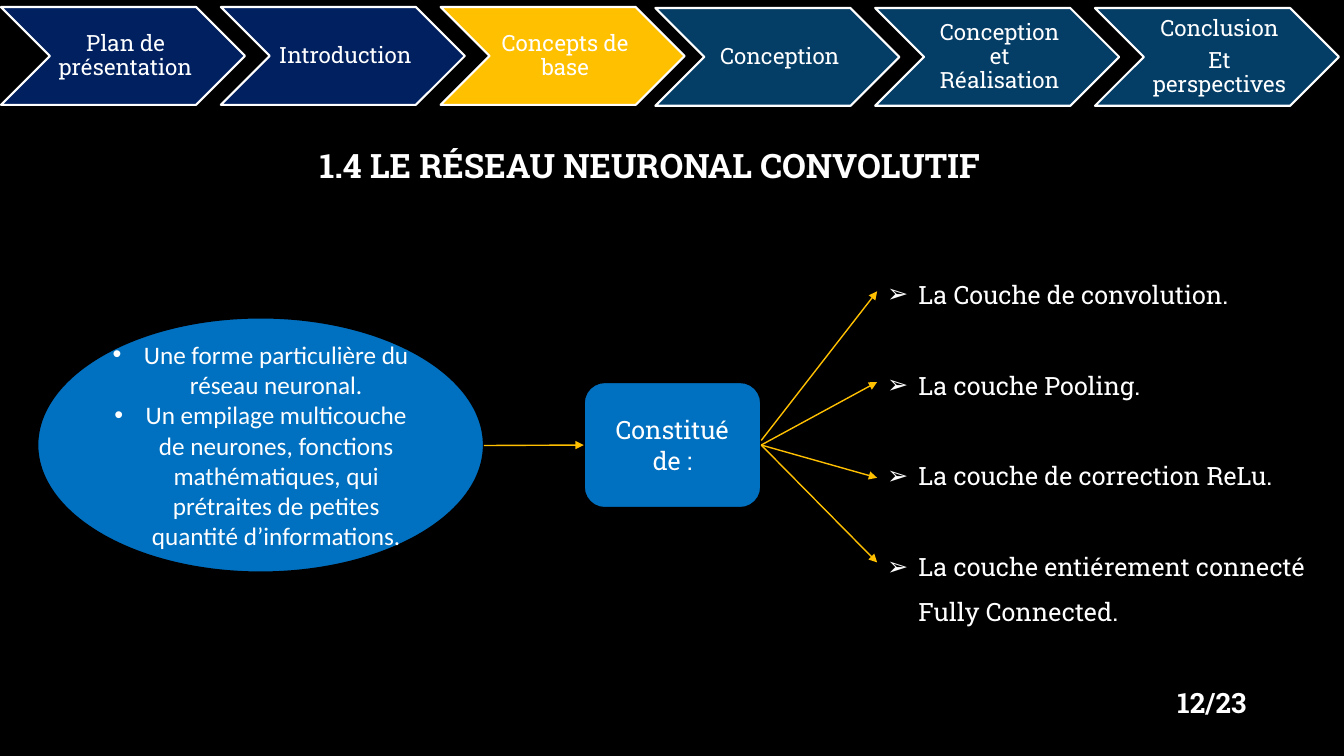
from lxml import etree
from pptx import Presentation
from pptx.dml.color import RGBColor
from pptx.enum import shapes, text
from pptx.oxml import ns
from pptx.util import Inches, Pt

COLORS = {
    "black": "000000",
    "white": "FFFFFF",
    "navy": "002060",
    "teal": "043D66",
    "gold": "FFC000",
    "blue": "0070C0",
}
SHAPE = shapes.MSO_SHAPE
ALIGN = text.PP_ALIGN
ANCHOR = text.MSO_ANCHOR


def rgb(name):
    return RGBColor.from_string(COLORS[name])


class SlideBuilder:
    font = "Roboto Slab"
    bullet_indent = 0.31

    def __init__(self, slide):
        self.slide = slide
        slide.background.fill.solid()
        slide.background.fill.fore_color.rgb = rgb("black")

    def set_text(self, shape, lines, size, align=ALIGN.CENTER, bold=False, font=None,
                 bullet=None, spacing=None, after=0, anchor=ANCHOR.MIDDLE, insets=None):
        """Fill a shape with one paragraph per line."""
        frame = shape.text_frame
        frame.word_wrap = True
        frame.vertical_anchor = anchor
        if insets:
            (frame.margin_left, frame.margin_top,
             frame.margin_right, frame.margin_bottom) = map(Inches, insets)
        frame.text = "\n".join(lines)
        for paragraph in frame.paragraphs:
            paragraph.alignment = align
            paragraph.space_after = Pt(after)
            if spacing:
                paragraph.line_spacing = spacing
            if bullet:
                self.add_bullet(paragraph, bullet)
            paragraph.font.name = font or self.font
            paragraph.font.size = Pt(size)
            paragraph.font.bold = bold
            paragraph.font.color.rgb = rgb("white")

    def add_bullet(self, paragraph, character):
        properties = paragraph._p.get_or_add_pPr()
        indent = Inches(self.bullet_indent)
        properties.set("marL", str(indent))
        properties.set("indent", str(-indent))
        etree.SubElement(properties, ns.qn("a:buFont")).set("typeface", "Arial")
        etree.SubElement(properties, ns.qn("a:buChar")).set("char", character)

    def text_box(self, bounds, lines, size, **style):
        box = self.slide.shapes.add_textbox(*map(Inches, bounds))
        self.set_text(box, lines, size, **style)

    def shape(self, kind, bounds, fill, line, lines, size, **style):
        shape = self.slide.shapes.add_shape(kind, *map(Inches, bounds))
        shape.shadow.inherit = False
        shape.fill.solid()
        shape.fill.fore_color.rgb = rgb(fill)
        shape.line.color.rgb = rgb(line)
        shape.line.width = Pt(1.5)
        self.set_text(shape, lines, size, **style)
        return shape

    def arrow(self, start, end):
        connector = self.slide.shapes.add_connector(
            shapes.MSO_CONNECTOR.STRAIGHT, *map(Inches, (*start, *end)))
        connector.line.color.rgb = rgb("gold")
        connector.line.width = Pt(1)
        line = connector.line._get_or_add_ln()
        etree.SubElement(line, ns.qn("a:tailEnd")).set("type", "triangle")
        etree.SubElement(connector._element.spPr, ns.qn("a:effectLst"))
        return connector


def add_navigation(builder):
    steps = [
        (["Plan de présentation"], "navy"),
        (["Introduction"], "navy"),
        (["Concepts de base"], "gold"),
        (["Conception"], "teal"),
        (["Conception et Réalisation"], "teal"),
        (["Conclusion", "Et perspectives"], "teal"),
    ]
    group_origins = [(0.01, 0.07), (6.5, 0.08)]
    for index, (lines, fill) in enumerate(steps):
        group, position = divmod(index, 3)
        left, top = group_origins[group]
        builder.shape(SHAPE.CHEVRON, (left + 2.18 * position, top, 2.42, 0.97),
                      fill, "white", lines, 16, spacing=0.9, after=5.6,
                      insets=(0.07, 0.02, 0.02, 0.02))


def add_diagram(builder):
    definition = [
        "Une forme particulière du réseau neuronal.",
        "Un empilage multicouche de neurones, fonctions mathématiques, "
        "qui prétraites de petites quantité d’informations.",
    ]
    layers = [
        "La Couche de convolution.",
        "La couche Pooling.",
        "La couche de correction ReLu.",
        "La couche entiérement connecté Fully Connected.",
    ]
    builder.shape(SHAPE.OVAL, (0.37, 3.15, 4.43, 2.53), "blue", "black",
                  definition, 18, font="Calibri", bullet="•")
    hub = builder.shape(SHAPE.ROUNDED_RECTANGLE, (5.79, 3.79, 1.76, 1.25),
                        "blue", "black", ["Constitué de :"], 18)
    builder.text_box((8.7, 2.57, 4.45, 4.34), layers, 18, align=ALIGN.LEFT,
                     bullet="➢", spacing=1.5, after=32.4, anchor=ANCHOR.TOP)

    builder.arrow((7.55, 4.37), (8.7, 2.89))
    for layer_y in (3.79, 4.74, 5.58):
        builder.arrow((7.55, 4.42), (8.7, layer_y)).begin_connect(hub, 3)
    builder.arrow((4.8, 4.42), (5.79, 4.42)).end_connect(hub, 1)


def main():
    presentation = Presentation()
    presentation.slide_width = Inches(13.33)
    presentation.slide_height = Inches(7.5)
    builder = SlideBuilder(presentation.slides.add_slide(presentation.slide_layouts[6]))

    builder.text_box((0.43, 1.2, 12.03, 0.92), ["1.4 LE RÉSEAU NEURONAL CONVOLUTIF"],
                     24, bold=True, spacing=0.9)
    add_navigation(builder)
    add_diagram(builder)
    builder.text_box((11.49, 6.71, 0.97, 0.51), ["12/23"], 20, bold=True,
                     align=ALIGN.RIGHT)
    presentation.save("out.pptx")


if __name__ == "__main__":
    main()
